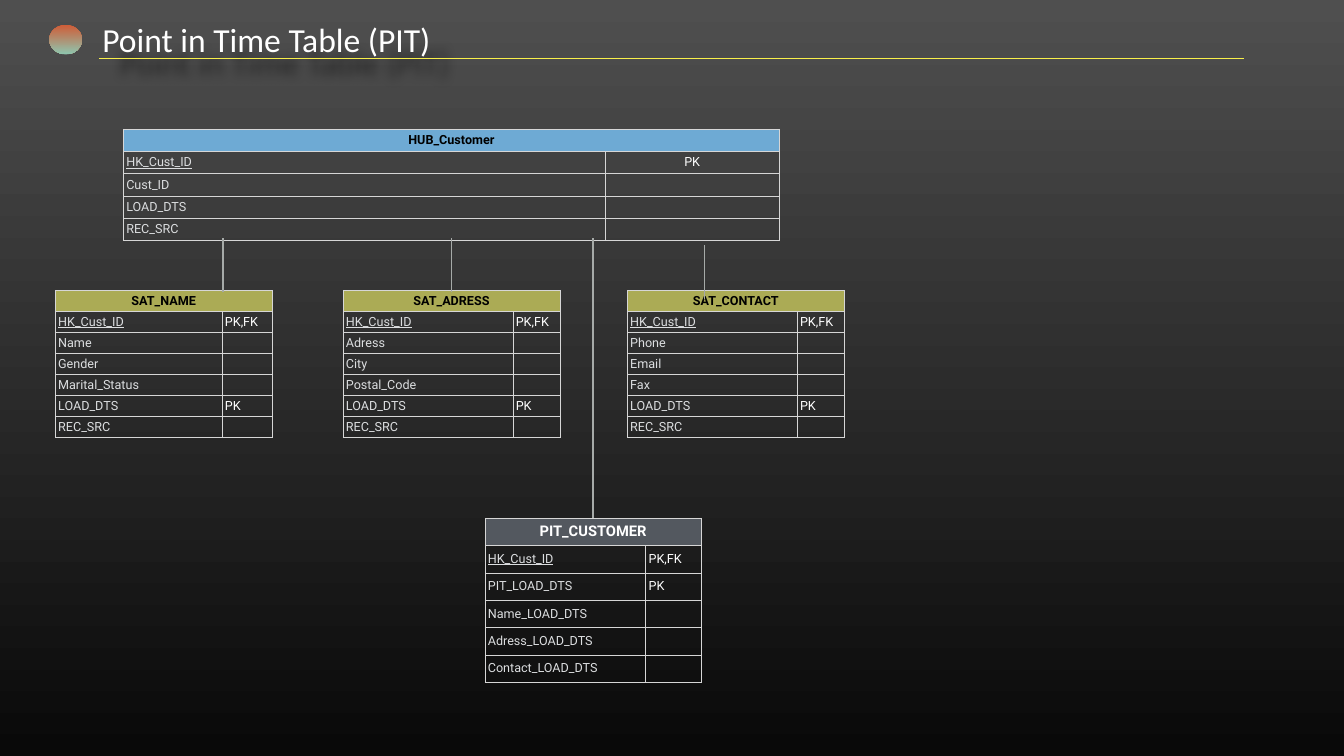
"""Build the Point in Time table slide; positions are percentages of the slide size."""
import pptx
import pptx.dml.color
import pptx.enum.shapes
import pptx.enum.text
import pptx.oxml
import pptx.oxml.ns
import pptx.util
from lxml import etree

WIDTH, HEIGHT = pptx.util.Inches(26.67), pptx.util.Inches(15)
ALIGN = pptx.enum.text.PP_ALIGN
MIDDLE = pptx.enum.text.MSO_ANCHOR.MIDDLE
BORDER, CONNECTOR, FIELD, WHITE, BLACK = "D6D6D6", "A6AAA8", "DCDEE0", "FFFFFF", "000000"
NAMESPACE = pptx.oxml.ns.nsdecls("a")

HUB_FIELDS = [("HK_Cust_ID", "PK"), ("Cust_ID", ""), ("LOAD_DTS", ""), ("REC_SRC", "")]
SATELLITES = [
    ("SAT_NAME", 4.12, 12.41, ["Name", "Gender", "Marital_Status"]),
    ("SAT_ADRESS", 25.53, 12.64, ["Adress", "City", "Postal_Code"]),
    ("SAT_CONTACT", 46.68, 12.64, ["Phone", "Email", "Fax"]),
]
SATELLITE_WIDTH = 16.13
PIT_FIELDS = [("HK_Cust_ID", "PK,FK"), ("PIT_LOAD_DTS", "PK"), ("Name_LOAD_DTS", ""),
              ("Adress_LOAD_DTS", ""), ("Contact_LOAD_DTS", "")]
LINKS = [(16.58, 38.67, 31.53), (33.6, 38.67, 31.53), (44.13, 68.47, 31.53), (52.42, 39.6, 32.47)]


def across(percent):
    """Return a share of the slide width."""
    return round(WIDTH * percent / 100)


def down(percent):
    """Return a share of the slide height."""
    return round(HEIGHT * percent / 100)


def rgb(value):
    """Return the colour for a hex string."""
    return pptx.dml.color.RGBColor.from_string(value)


def write(frame, text, font="Roboto", size=18, color=FIELD, bold=False,
          underline=False, align=ALIGN.LEFT):
    """Write one formatted line of text into a text frame."""
    paragraph = frame.paragraphs[0]
    paragraph.alignment = align
    run = paragraph.add_run()
    run.text = text
    run.font.name, run.font.size = font, pptx.util.Pt(size)
    run.font.bold, run.font.underline = bold, underline
    run.font.color.rgb = rgb(color)


def fill_gradient(fill, top, bottom):
    """Apply a vertical two-colour gradient."""
    fill.gradient()
    fill.gradient_angle = 270
    for stop, color, position in zip(fill.gradient_stops, (top, bottom), (0, 1)):
        stop.color.rgb = rgb(color)
        stop.position = position


def add_line(slide, start, end, color, points):
    """Draw a straight line without a shadow."""
    line = slide.shapes.add_connector(
        pptx.enum.shapes.MSO_CONNECTOR.STRAIGHT,
        across(start[0]), down(start[1]), across(end[0]), down(end[1]))
    line.line.color.rgb = rgb(color)
    line.line.width = pptx.util.Pt(points)
    etree.SubElement(line._element.spPr, pptx.oxml.ns.qn("a:effectLst"))


def add_title(slide, text):
    """Add the title with its soft shadow, the rule and the round emblem."""
    box = slide.shapes.add_textbox(across(7.31), down(2.6), across(39.63), down(5.13))
    frame = box.text_frame
    frame.word_wrap = True
    frame.vertical_anchor = MIDDLE
    frame.margin_left = frame.margin_right = pptx.util.Inches(0.08)
    frame.margin_top = frame.margin_bottom = pptx.util.Inches(0.08)
    write(frame, text, font="Calibri", size=48, color=WHITE)
    box._element.spPr.append(pptx.oxml.parse_xml(
        f'<a:effectLst {NAMESPACE}><a:outerShdw blurRad="190500" dist="510000" dir="3000000">'
        f'<a:srgbClr val="{BLACK}"><a:alpha val="50000"/></a:srgbClr></a:outerShdw></a:effectLst>'))
    add_line(slide, (7.39, 7.67), (92.58, 7.67), "F8EF4A", 1)
    emblem = slide.shapes.add_shape(pptx.enum.shapes.MSO_SHAPE.OVAL, across(3.67), down(3.27),
                                    across(2.44), down(3.93))
    emblem.shadow.inherit = False
    emblem.line.fill.background()
    fill_gradient(emblem.fill, "CF5C37", "8FC5AE")


def style_cell(cell, fill=None):
    """Set the margins, borders and fill of a cell."""
    cell.vertical_anchor = MIDDLE
    cell.margin_left = cell.margin_right = pptx.util.Pt(4)
    cell.margin_top = cell.margin_bottom = pptx.util.Pt(3.5)
    properties = cell._tc.get_or_add_tcPr()
    for side in "LRTB":
        properties.append(pptx.oxml.parse_xml(
            f'<a:ln{side} {NAMESPACE} w="12700"><a:solidFill><a:srgbClr val="{BORDER}"/>'
            f'</a:solidFill></a:ln{side}>'))
    if fill:
        cell.fill.solid()
        cell.fill.fore_color.rgb = rgb(fill)
    else:
        cell.fill.background()


def add_entity(slide, name, fields, left, top, columns, row, fill,
               name_color=BLACK, name_size=18, key_align=ALIGN.LEFT):
    """Add an entity table: a merged name row above fields and their keys."""
    count = len(fields) + 1
    table = slide.shapes.add_table(count, 2, across(left), down(top),
                                   across(sum(columns)), down(row * count)).table
    table.first_row = table.horz_banding = False
    for column, width in zip(table.columns, columns):
        column.width = across(width)
    for table_row in table.rows:
        table_row.height = down(row)
    for column in range(2):
        style_cell(table.cell(0, column), fill)
    table.cell(0, 0).merge(table.cell(0, 1))
    write(table.cell(0, 0).text_frame, name, size=name_size, color=name_color,
          bold=True, align=ALIGN.CENTER)
    for index, (field, key) in enumerate(fields, start=1):
        field_cell, key_cell = table.cell(index, 0), table.cell(index, 1)
        style_cell(field_cell)
        style_cell(key_cell)
        write(field_cell.text_frame, field, underline=index == 1)
        if key:
            write(key_cell.text_frame, key, color=WHITE, align=key_align)


def main():
    """Build and save the slide."""
    presentation = pptx.Presentation()
    presentation.slide_width, presentation.slide_height = WIDTH, HEIGHT
    slide = presentation.slides.add_slide(presentation.slide_layouts[6])
    fill_gradient(slide.background.fill, "4F4F4F", "090909")
    add_title(slide, "Point in Time Table (PIT)")
    add_entity(slide, "HUB_Customer", HUB_FIELDS, 9.19, 17.07, (35.83, 12.97), 2.95,
               "6EAAD4", key_align=ALIGN.CENTER)
    for name, left, field_width, details in SATELLITES:
        fields = [("HK_Cust_ID", "PK,FK"), *((detail, "") for detail in details),
                  ("LOAD_DTS", "PK"), ("REC_SRC", "")]
        add_entity(slide, name, fields, left, 38.43,
                   (field_width, SATELLITE_WIDTH - field_width), 2.78, "ABAB55")
    add_entity(slide, "PIT_CUSTOMER", PIT_FIELDS, 36.09, 68.53, (11.96, 4.12), 3.62,
               "53585F", name_color=WHITE, name_size=21)
    for x, bottom, top in LINKS:
        add_line(slide, (x, bottom), (x, top), CONNECTOR, 2)
    presentation.save("out.pptx")


if __name__ == "__main__":
    main()
